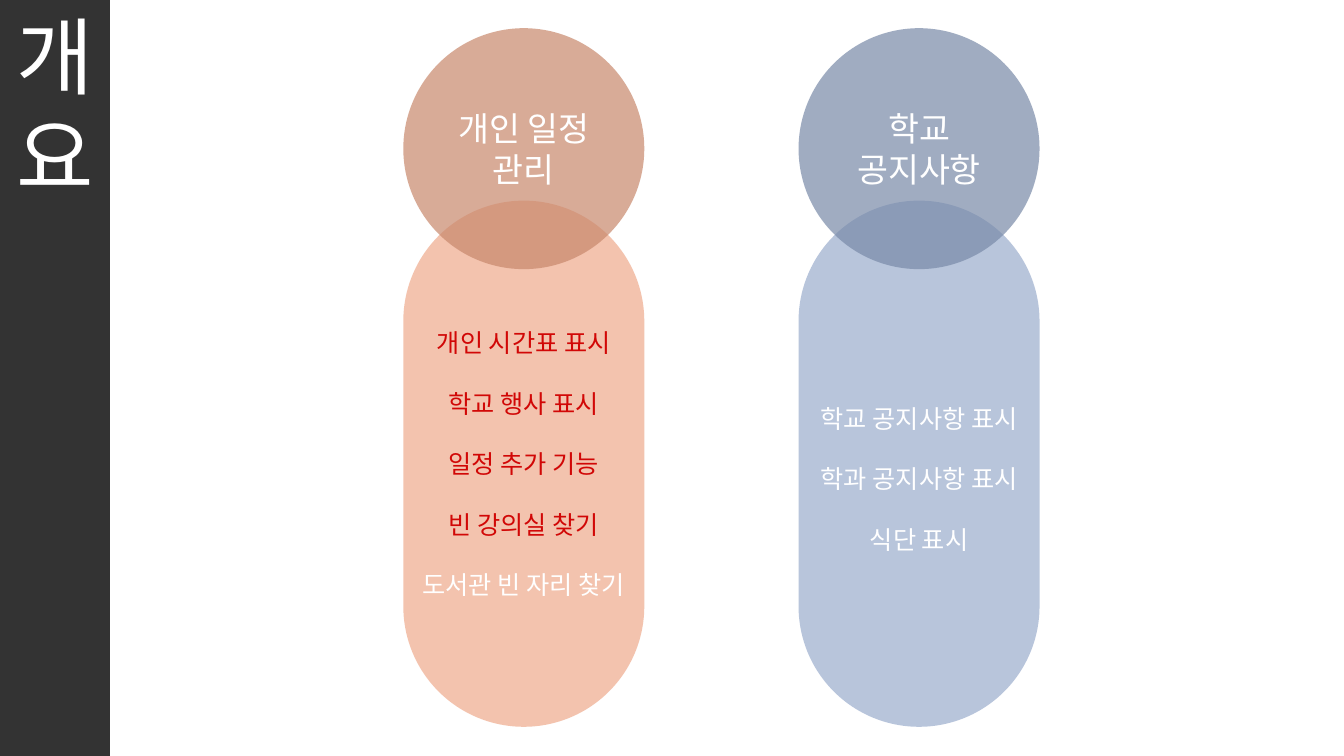
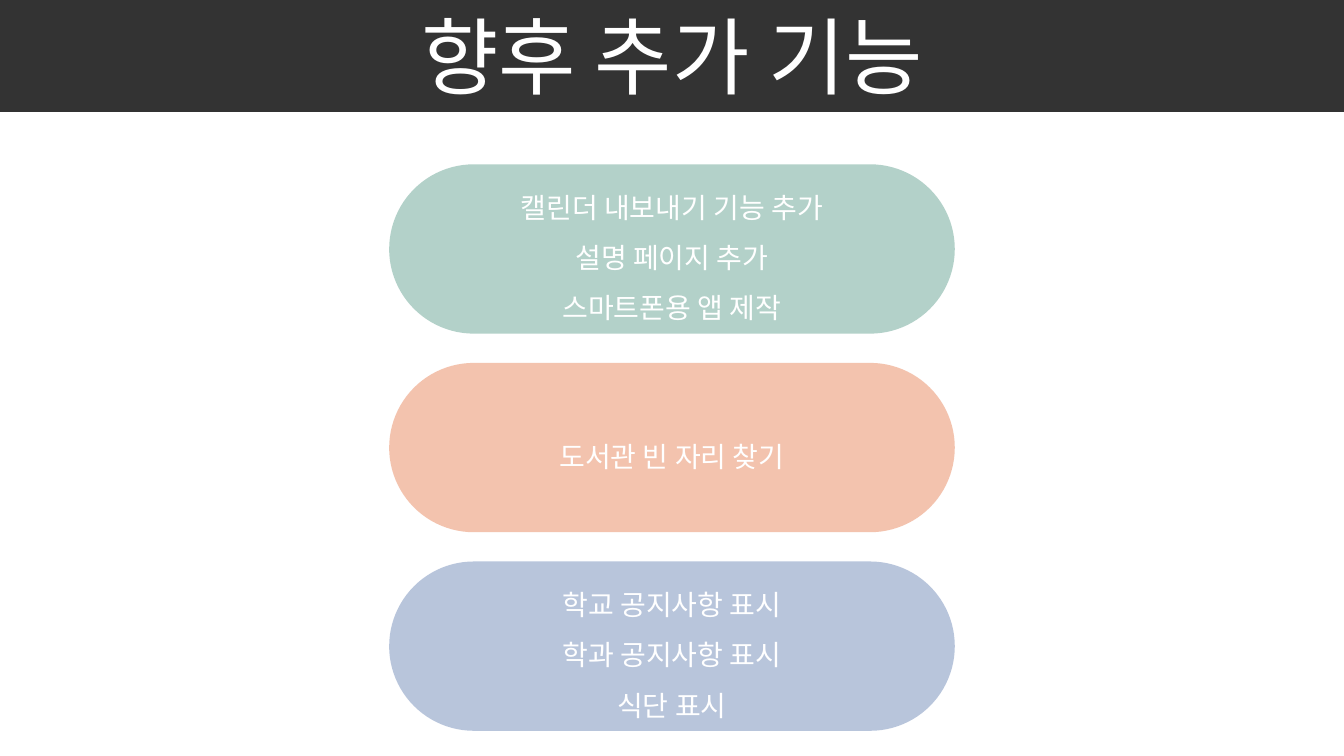
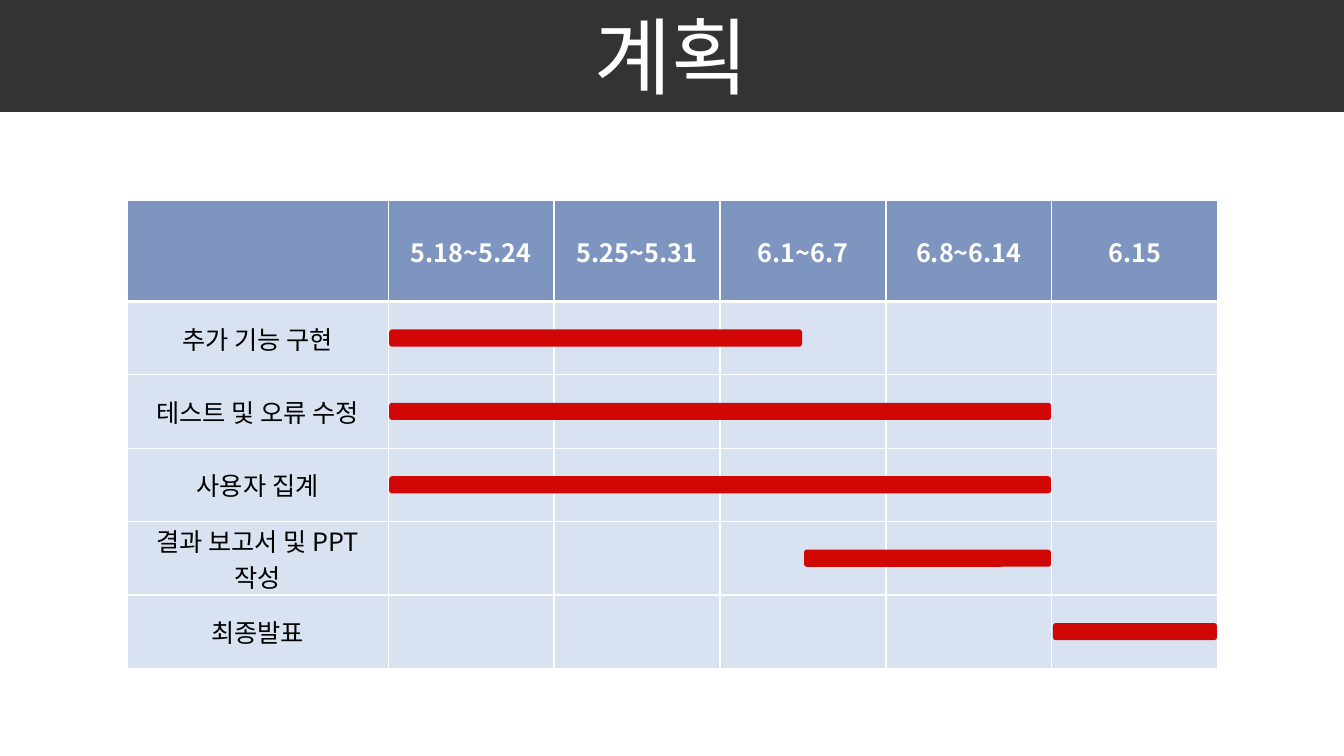
"""Build three slides: overview, future features and schedule."""
from lxml import etree
from pptx import Presentation
from pptx import util as u
from pptx.dml.color import RGBColor
from pptx.enum import shapes, text
from pptx.oxml import ns

COLORS = {
    "band": "000000", "white": "FFFFFF", "black": "000000", "red": "D10706",
    "peach": "F0B094", "blue": "A1B2D0", "green": "9AC2B7",
    "clay": "C8886C", "slate": "798AA8", "header": "6883B4", "body": "D2DEEF",
}
FONT = "Noto Sans CJK KR"
LINE_HEIGHT = 1.2
SHAPE = shapes.MSO_SHAPE
PILL_FRAME = {"margin_left": 0, "margin_right": 0, "word_wrap": False}


def paint(target, color, alpha=100):
    """Give a shape or a cell a solid, possibly translucent fill."""
    target.fill.solid()
    target.fill.fore_color.rgb = RGBColor.from_string(COLORS[color])
    if alpha < 100:
        rgb = next(target.fill._xPr.iter(ns.qn("a:srgbClr")))
        etree.SubElement(rgb, ns.qn("a:alpha"), val=str(alpha * 1000))


def write(frame, lines, size, spacing=None, bold=False, **settings):
    """Write centred lines, each a pair of wording and colour."""
    for name, value in {"word_wrap": True, "vertical_anchor": text.MSO_ANCHOR.MIDDLE, **settings}.items():
        setattr(frame, name, value)
    for index, (wording, color) in enumerate(lines):
        paragraph = frame.add_paragraph() if index else frame.paragraphs[0]
        paragraph.alignment = text.PP_ALIGN.CENTER
        if spacing:
            paragraph.line_spacing = u.Pt(size * LINE_HEIGHT * spacing)
        run = paragraph.add_run()
        run.text = wording
        for name, value in {"name": FONT, "size": u.Pt(size), "bold": bold}.items():
            setattr(run.font, name, value)
        run.font.color.rgb = RGBColor.from_string(COLORS[color])
        etree.SubElement(run.font._element, ns.qn("a:ea"), typeface=FONT)


presentation = Presentation()
presentation.slide_width = u.Inches(13.33)
presentation.slide_height = u.Inches(7.5)
WIDTH, HEIGHT = presentation.slide_width, presentation.slide_height

slides = []
for title, band_width, band_height, title_height in [
    ("개요", u.Inches(1.09), HEIGHT, u.Inches(2.12)),
    ("향후 추가 기능", WIDTH, u.Inches(1.11), u.Inches(1.11)),
    ("계획", WIDTH, u.Inches(1.11), u.Inches(1.11)),
]:
    slide = presentation.slides.add_slide(presentation.slide_layouts[6])
    band = slide.shapes.add_shape(SHAPE.RECTANGLE, 0, 0, band_width, band_height)
    band.shadow.inherit = False
    band.line.fill.background()
    paint(band, "band", 80)
    box = slide.shapes.add_textbox(0, 0, band_width, title_height)
    write(box.text_frame, [(title, "white")], 60, 1,
          vertical_anchor=text.MSO_ANCHOR.TOP, margin_top=u.Inches(0.04))
    slides.append(slide)
overview, future, schedule = slides

notices = [(line, "white") for line in ["학교 공지사항 표시", "학과 공지사항 표시", "식단 표시"]]
library = ("도서관 빈 자리 찾기", "white")
personal = [(line, "red") for line in ["개인 시간표 표시", "학교 행사 표시", "일정 추가 기능", "빈 강의실 찾기"]]
exports = [(line, "white") for line in ["캘린더 내보내기 기능 추가", "설명 페이지 추가", "스마트폰용 앱 제작"]]

figures = []
diameter = u.Inches(2.39)
for column, (heading, circle_color, pill_color, lines, bottom) in enumerate([
    ("개인 일정 관리", "clay", "peach", personal + [library], 0.35),
    ("학교 공지사항", "slate", "blue", notices, 0.05),
]):
    left = u.Inches(4 + column * 3.92)
    figures += [
        (overview, SHAPE.ROUNDED_RECTANGLE, (left, u.Inches(1.99), diameter, u.Inches(5.22)),
         pill_color, 75, lines, 18, 2, {**PILL_FRAME, "margin_bottom": u.Inches(bottom)}),
        (overview, SHAPE.OVAL, (left, u.Inches(0.28), diameter, diameter),
         circle_color, 70, [(heading, "white")], 24, 1, {}),
    ]
for row, (color, lines) in enumerate([("green", exports), ("peach", [library]), ("blue", notices)]):
    place = (u.Inches(3.86), u.Inches(1.63 + row * 1.97), u.Inches(5.61), u.Inches(1.68))
    figures.append((future, SHAPE.ROUNDED_RECTANGLE, place, color, 75, lines, 20, 1.5, PILL_FRAME))

for slide, kind, place, color, alpha, lines, size, spacing, settings in figures:
    shape = slide.shapes.add_shape(kind, *place)
    shape.shadow.inherit = False
    shape.line.fill.background()
    paint(shape, color, alpha)
    if kind == SHAPE.ROUNDED_RECTANGLE:
        shape.adjustments[0] = 0.5
    write(shape.text_frame, lines, size, spacing, **settings)

weeks = ["5.18~5.24", "5.25~5.31", "6.1~6.7", "6.8~6.14", "6.15"]
tasks = [
    ("추가 기능 구현", 0, 2.5),
    ("테스트 및 오류 수정", 0, 4),
    ("사용자 집계", 0, 4),
    ("결과 보고서 및 PPT 작성", 2.5, 4),
    ("최종발표", 4, 5),
]
table_left, table_top, table_width, table_height = (u.Inches(n) for n in (1.26, 1.99, 10.82, 4.64))
label_width, header_height = u.Inches(2.59), u.Inches(1)
week_width = (table_width - label_width) // len(weeks)
task_height = (table_height - header_height) // len(tasks)
table = schedule.shapes.add_table(
    len(tasks) + 1, len(weeks) + 1, table_left, table_top, table_width, table_height).table
table.first_row = table.horz_banding = False
for index, column in enumerate(table.columns):
    column.width = week_width if index else label_width
for index, row in enumerate(table.rows):
    row.height = task_height if index else header_height

for row in range(len(tasks) + 1):
    for column in range(len(weeks) + 1):
        cell = table.cell(row, column)
        paint(cell, "body" if row else "header", 85)
        for name, value in {"vertical_anchor": text.MSO_ANCHOR.MIDDLE, "margin_top": 0, "margin_bottom": 0}.items():
            setattr(cell, name, value)
        properties = cell._tc.get_or_add_tcPr()
        for position, side in enumerate(["L", "R", "T", "B"]):
            thick = (row, side) in [(0, "B"), (1, "T")]
            border = etree.Element(ns.qn(f"a:ln{side}"), w=str(u.Pt(3 if thick else 1)))
            fill = etree.SubElement(border, ns.qn("a:solidFill"))
            etree.SubElement(fill, ns.qn("a:srgbClr"), val=COLORS["white"])
            properties.insert(position, border)
        if row == 0 and column:
            write(cell.text_frame, [(weeks[column - 1], "white")], 18, bold=True)
        elif row and column == 0:
            write(cell.text_frame, [(tasks[row - 1][0], "black")], 18)

gap, bar_height = u.Inches(0.01), u.Inches(0.17)
for row, (task, start, end) in enumerate(tasks):
    bar = schedule.shapes.add_shape(
        SHAPE.ROUNDED_RECTANGLE,
        int(table_left + label_width + start * week_width + gap),
        int(table_top + header_height + (row + 0.5) * task_height - bar_height / 2),
        int((end - start) * week_width - 2 * gap), bar_height)
    bar.shadow.inherit = False
    bar.line.fill.background()
    paint(bar, "red")

presentation.save("out.pptx")
